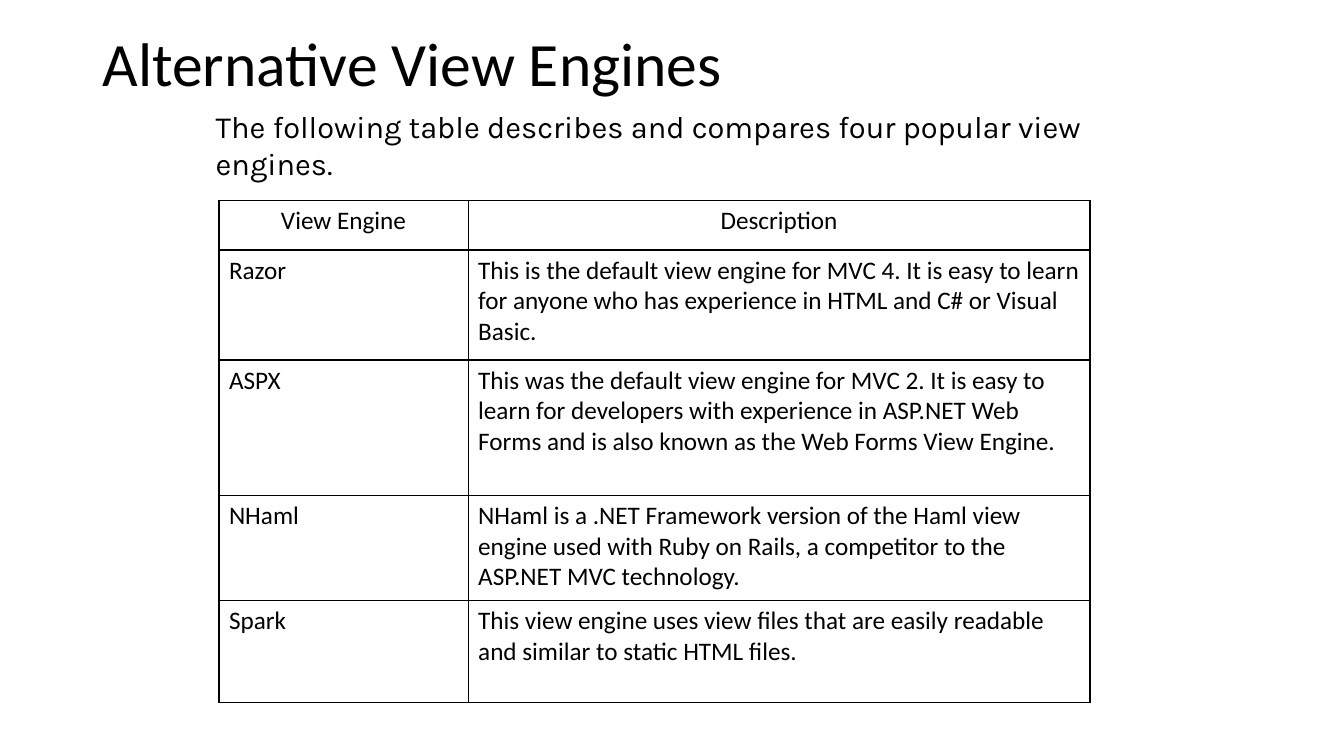
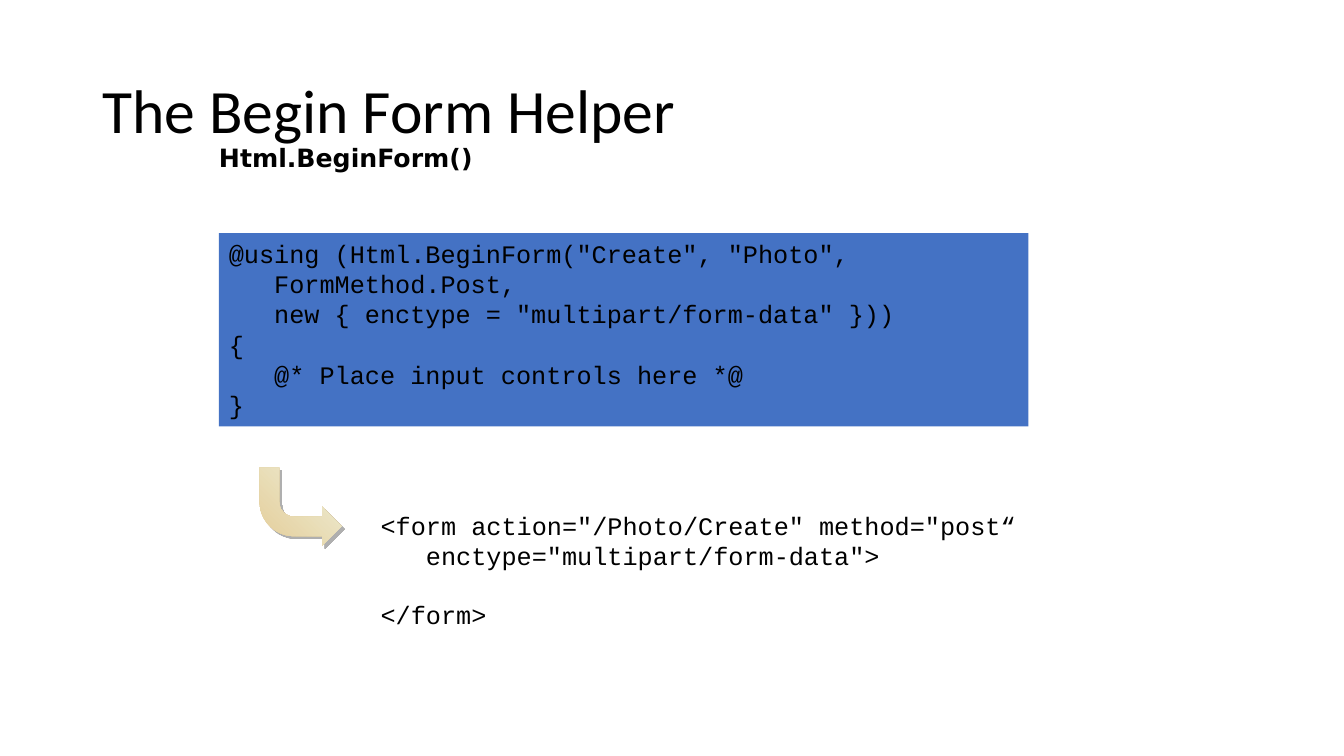
from lxml import etree
from pptx import Presentation
from pptx.dml.color import RGBColor
from pptx.enum.shapes import MSO_SHAPE as SHAPE
from pptx.enum.text import MSO_ANCHOR as ANCHOR, MSO_AUTO_SIZE as AUTO, PP_ALIGN as ALIGN
from pptx.oxml import parse_xml
from pptx.oxml.ns import nsdecls, qn
from pptx.util import Pt

COLORS = {
    "text": "000000",
    "paper": "FFFFFF",
    "code": "4472C4",
    "sand": "E4CD9A",
    "cream": "EEEFD7",
    "shadow": "AFAFAF",
}
BODY, INTRO, HEADING, CODE = "Calibri", "Karla", "DejaVu Sans", "Courier New"
TITLE_LEFT, TITLE_WIDTH, TITLE_HEIGHT = 66, 828, 104.4
CONTENT_LEFT = 156.4
CODE_INDENT = 32.4  # three characters of 18 pt code
CODE_LINE = 20.4

ENGINES = [
    ("View Engine", "Description"),
    ("Razor", "This is the default view engine for MVC 4. It is easy to learn for "
              "anyone who has experience in HTML and C# or Visual Basic."),
    ("ASPX", "This was the default view engine for MVC 2. It is easy to learn for "
             "developers with experience in ASP.NET Web Forms and is also known as "
             "the Web Forms View Engine."),
    ("NHaml", "NHaml is a .NET Framework version of the Haml view engine used with "
              "Ruby on Rails, a competitor to the ASP.NET MVC technology."),
    ("Spark", "This view engine uses view files that are easily readable and similar "
              "to static HTML files."),
]
COLUMN_WIDTHS = (178, 444.2)
ROW_HEIGHTS = (35.2, 78.6, 96.6, 75, 73.2)

# Each code line is (indent level, blank lines before it, text).
HELPER_CODE = [
    (0, 0, '@using (Html.BeginForm("Create", "Photo",'),
    (1, 0, "FormMethod.Post,"),
    (1, 0, 'new { enctype = "multipart/form-data" }))'),
    (0, 0, "{"),
    (1, 0, "@* Place input controls here *@"),
    (0, 0, "}"),
]
FORM_CODE = [
    (0, 0, '<form action="/Photo/Create" method="post“'),
    (1, 0, 'enctype="multipart/form-data">'),
    (0, 1, "</form>"),
]


def rgb(name):
    return RGBColor.from_string(COLORS[name])


def points(*lengths):
    return [Pt(n) for n in lengths]


def fill_solid(fill, color):
    fill.solid()
    fill.fore_color.rgb = rgb(color)


def write(p, text, size=18, font=BODY, color="text", bold=False,
          align=ALIGN.LEFT, line_spacing=None):
    r = p.add_run()
    r.text = text
    r.font.size, r.font.name, r.font.bold = Pt(size), font, bold
    r.font.color.rgb = rgb(color)
    p.alignment = align
    if line_spacing:
        p.line_spacing = line_spacing


def add_titled_slide(prs, title, top):
    s = prs.slides.add_slide(prs.slide_layouts[5])
    sp = s.shapes.title
    sp.left, sp.top, sp.width, sp.height = points(
        TITLE_LEFT, top, TITLE_WIDTH, TITLE_HEIGHT)
    tf = sp.text_frame
    tf.auto_size, tf.vertical_anchor = AUTO.NONE, ANCHOR.MIDDLE
    write(tf.paragraphs[0], title, size=44, line_spacing=0.9)
    return s


def add_text(s, box, text, inset=True, **style):
    tf = s.shapes.add_textbox(*points(*box)).text_frame
    tf.word_wrap = True
    if not inset:
        tf.margin_left = tf.margin_right = tf.margin_top = tf.margin_bottom = 0
    write(tf.paragraphs[0], text, **style)


def add_borders(cell):
    tc_pr = cell._tc.get_or_add_tcPr()
    for i, side in enumerate(("lnL", "lnR", "lnT", "lnB")):
        tc_pr.insert(i, parse_xml(
            f'<a:{side} {nsdecls("a")} w="{Pt(1)}"><a:solidFill>'
            f'<a:srgbClr val="{COLORS["text"]}"/></a:solidFill></a:{side}>'))


def add_engine_table(s, left, top):
    box = points(left, top, sum(COLUMN_WIDTHS), sum(ROW_HEIGHTS))
    table = s.shapes.add_table(len(ENGINES), len(COLUMN_WIDTHS), *box).table
    for column, width in zip(table.columns, COLUMN_WIDTHS):
        column.width = Pt(width)
    for i, (row, height) in enumerate(zip(table.rows, ROW_HEIGHTS)):
        row.height = Pt(height)
        for cell, text in zip(row.cells, ENGINES[i]):
            fill_solid(cell.fill, "paper")
            add_borders(cell)
            write(cell.text_frame.paragraphs[0], text,
                  align=ALIGN.LEFT if i else ALIGN.CENTER)


def add_code(s, box, lines, color):
    sp = s.shapes.add_shape(SHAPE.RECTANGLE, *points(*box))
    sp.shadow.inherit = False
    sp.line.fill.background()
    fill_solid(sp.fill, color)
    tf = sp.text_frame
    tf.word_wrap, tf.vertical_anchor = True, ANCHOR.TOP
    for i, (level, blanks, text) in enumerate(lines):
        p = tf.add_paragraph() if i else tf.paragraphs[0]
        write(p, text, font=CODE)
        p.space_before = Pt(blanks * CODE_LINE)
        p._p.get_or_add_pPr().set("marL", str(Pt(level * CODE_INDENT)))


def add_result_arrow(s, box):
    sp = s.shapes.add_shape(SHAPE.BENT_ARROW, *points(*box))
    sp._element.spPr.find(qn("a:xfrm")).set("flipV", "1")
    sp.line.fill.background()
    sp.fill.gradient()
    sp.fill.gradient_angle = 315
    for stop, color, position in zip(sp.fill.gradient_stops, ("sand", "cream"), (0, 1)):
        stop.color.rgb = rgb(color)
        stop.position = position
    sp.shadow.inherit = False
    effects = sp._element.spPr.find(qn("a:effectLst"))
    shadow = etree.SubElement(effects, qn("a:outerShdw"), dist=str(Pt(2.8)),
                              dir=str(45 * 60000), algn="ctr", rotWithShape="0")
    etree.SubElement(shadow, qn("a:srgbClr"), val=COLORS["shadow"])


def build_engines_slide(prs):
    s = add_titled_slide(prs, "Alternative View Engines", -5)
    add_engine_table(s, CONTENT_LEFT, 143.4)
    add_text(s, (147, 73.4, 692.6, 87),
             "The following table describes and compares four popular view engines.",
             size=22, font=INTRO)


def build_helper_slide(prs):
    s = add_titled_slide(prs, "The Begin Form Helper", 28.8)
    add_text(s, (CONTENT_LEFT, 101.6, 639.4, 49.6), "Html.BeginForm()",
             inset=False, font=HEADING, bold=True)
    add_result_arrow(s, (185.4, 334, 58.6, 56))
    add_code(s, (CONTENT_LEFT, 166.6, 578.2, 138), HELPER_CODE, "code")
    add_code(s, (264.8, 361, 487.4, 94.4), FORM_CODE, "paper")


def main():
    prs = Presentation()
    prs.slide_width, prs.slide_height = points(960, 540)
    build_engines_slide(prs)
    build_helper_slide(prs)
    prs.save("out.pptx")


if __name__ == "__main__":
    main()
